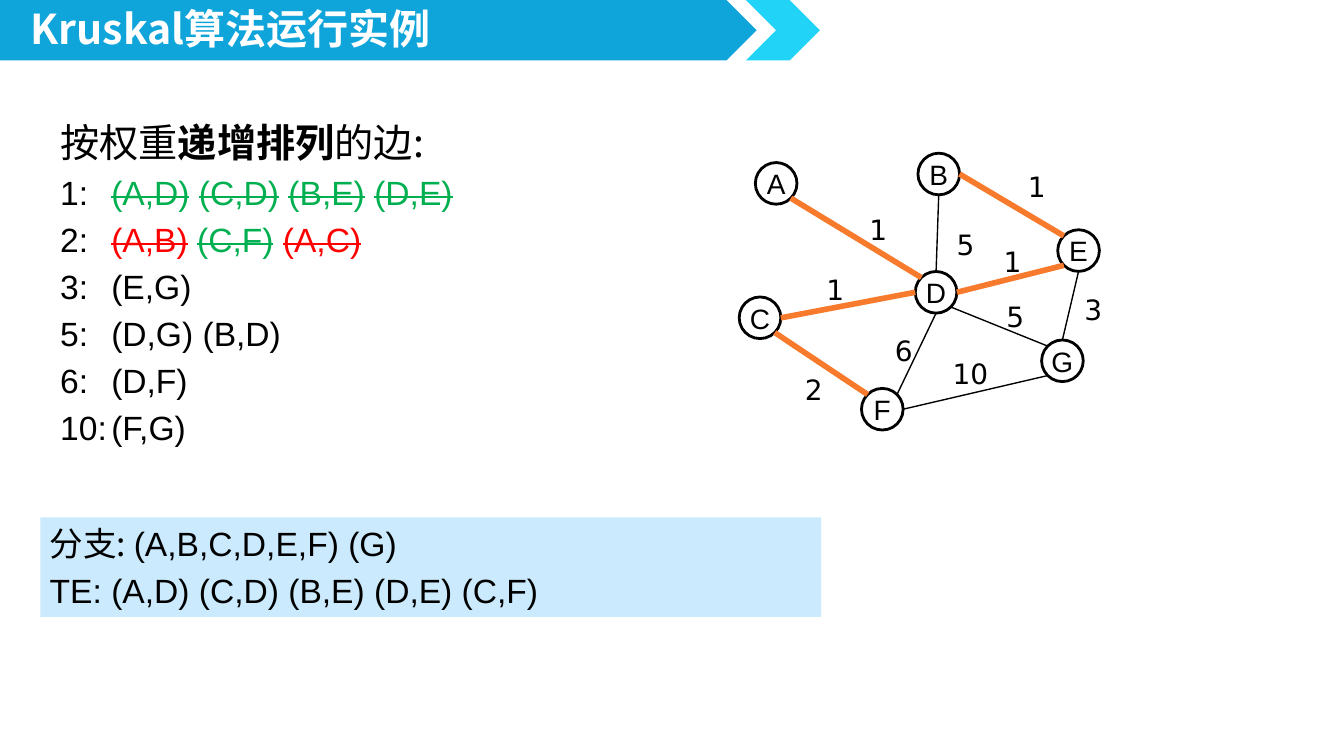
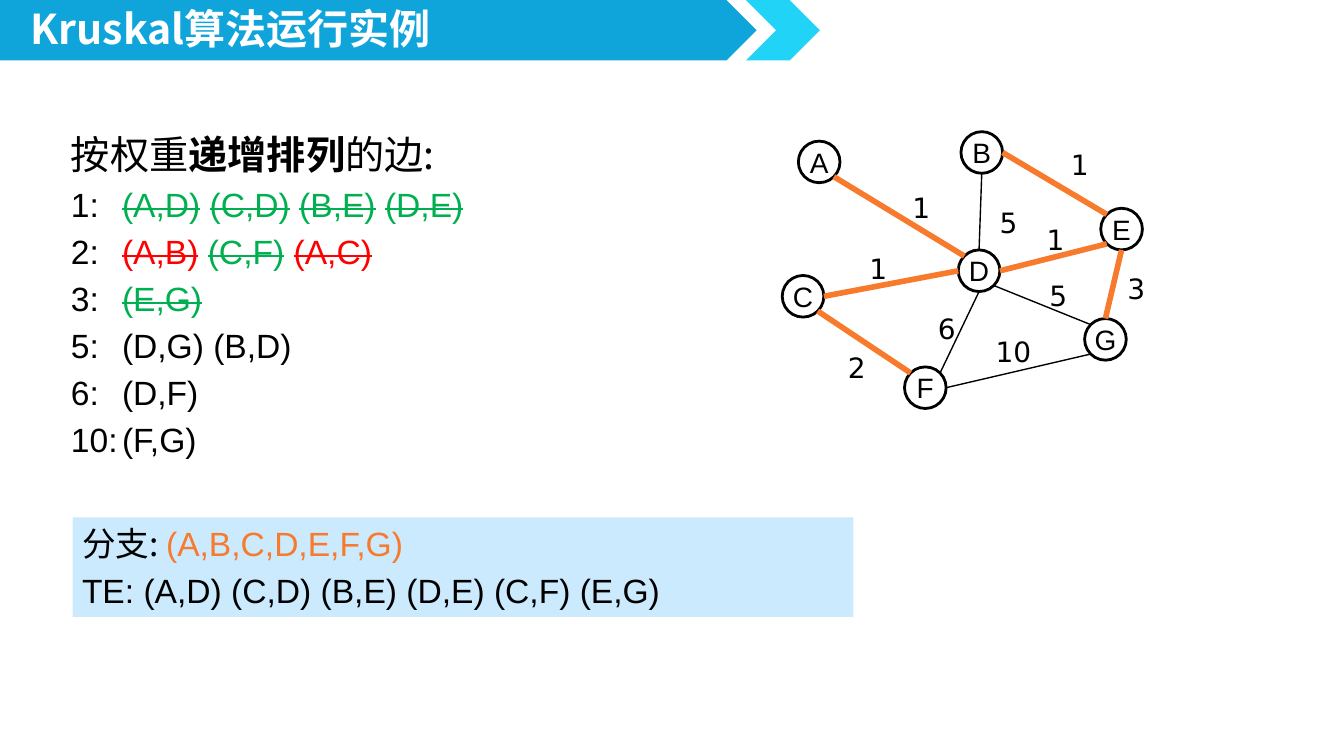
from dataclasses import dataclass
from math import cos, pi, sin
from typing import NamedTuple

from lxml.etree import SubElement
from pptx import Presentation
from pptx.dml.color import RGBColor
from pptx.enum.shapes import MSO_CONNECTOR, MSO_SHAPE
from pptx.enum.text import MSO_ANCHOR as ANCHOR, MSO_AUTO_SIZE as FIT, PP_ALIGN as ALIGN
from pptx.oxml.ns import qn
from pptx.util import Inches, Pt

BLACK, WHITE = "000000", "FFFFFF"
BAND, ACCENT, PANEL = "10A5DA", "21D3F7", "CBEAFD"
ORANGE, GREEN, RED = "F77A2D", "00B050", "FF0000"
LATIN, CJK, LABEL = "Arial", "Noto Sans CJK SC", "DejaVu Sans"
SLIDE_WIDTH = 10
NODE_SIZE = 0.31
SPACE_BEFORE = 3.6


class Run(NamedTuple):
    text: str
    color: str = BLACK
    font: str = LATIN
    size: float = 18
    bold: bool = False
    strike: bool = False


class Node(NamedTuple):
    left: float
    top: float


class Edge(NamedTuple):
    """Sites count eighths of a turn, anticlockwise from the top of a node."""
    name: str
    sites: tuple[int, int]
    weight: int
    label_left: float
    label_top: float


@dataclass
class Step:
    body: tuple[float, float, float, float]
    panel_left: float
    graph_offset: tuple[float, float]
    accepted: list[str]
    rejected: list[str]
    components: list[str]


NODES = {
    "A": Node(5.62, 1.21), "B": Node(6.83, 1.14), "C": Node(5.5, 2.21),
    "D": Node(6.81, 2.02), "F": Node(6.41, 2.89), "E": Node(7.87, 1.71),
    "G": Node(7.75, 2.53),
}
EDGES = [
    Edge("BD", (4, 0), 5, 7.02, 1.64),
    Edge("AD", (5, 1), 1, 6.37, 1.53),
    Edge("CD", (6, 2), 1, 6.05, 1.98),
    Edge("DE", (6, 3), 1, 7.37, 1.77),
    Edge("BE", (6, 1), 1, 7.55, 1.21),
    Edge("CF", (5, 1), 2, 5.89, 2.72),
    Edge("DF", (4, 7), 6, 6.56, 2.43),
    Edge("DG", (5, 1), 5, 7.39, 2.18),
    Edge("EG", (4, 0), 3, 7.97, 2.13),
    Edge("FG", (6, 3), 10, 6.99, 2.6),
]
SORTED_EDGES = {
    1: ["AD", "CD", "BE", "DE"],
    2: ["AB", "CF", "AC"],
    3: ["EG"],
    5: ["DG", "BD"],
    6: ["DF"],
    10: ["FG"],
}
STEPS = [
    Step((0.35, 0.83, 9, 2.85), 0.3, (0, 0),
         ["AD", "CD", "BE", "DE", "CF"], ["AB", "AC"], ["ABCDEF", "G"]),
    Step((0.43, 0.92, 9, 2.76), 0.54, (0.32, -0.16),
         ["AD", "CD", "BE", "DE", "CF", "EG"], ["AB", "AC"], ["ABCDEFG"]),
]


def rgb(color: str) -> RGBColor:
    return RGBColor.from_string(color)


def tuple_text(names: str) -> str:
    return f"({','.join(names)})"


def write(sp, paragraphs: list[list[Run]], *, hanging=0.0, space_before=0.0,
          line_spacing=None, align=ALIGN.LEFT, anchor=ANCHOR.TOP, wrap=True,
          fit=FIT.NONE, margins=(0.1, 0.05)):
    tf = sp.text_frame
    tf.word_wrap, tf.auto_size, tf.vertical_anchor = wrap, fit, anchor
    tf.margin_left = tf.margin_right = Inches(margins[0])
    tf.margin_top = tf.margin_bottom = Inches(margins[1])
    for i, runs in enumerate(paragraphs):
        p = tf.add_paragraph() if i else tf.paragraphs[0]
        p.alignment = align
        if hanging:
            pPr = p._p.get_or_add_pPr()
            pPr.set("marL", str(Inches(hanging)))
            pPr.set("indent", str(-Inches(hanging)))
        if line_spacing:
            p.line_spacing = line_spacing
        if i and space_before:
            p.space_before = Pt(space_before)
        for run in runs:
            r = p.add_run()
            r.text = run.text
            r.font.size, r.font.bold = Pt(run.size), run.bold
            r.font.color.rgb = rgb(run.color)
            r.font.name = run.font
            rPr = r.font._element
            SubElement(rPr, qn("a:ea")).set("typeface", run.font)
            if run.strike:
                rPr.set("strike", "sngStrike")


def add_text(s, left, top, width, height, paragraphs, **fmt):
    sp = s.shapes.add_textbox(*map(Inches, (left, top, width, height)))
    write(sp, paragraphs, **fmt)


def add_shape(s, kind, left, top, width, height, fill=None, line=None):
    sp = s.shapes.add_shape(kind, *map(Inches, (left, top, width, height)))
    sp.shadow.inherit = False
    if fill:
        sp.fill.solid()
        sp.fill.fore_color.rgb = rgb(fill)
    else:
        sp.fill.background()
    if line:
        sp.line.color.rgb = rgb(line)
        sp.line.width = Pt(1.5)
    else:
        sp.line.fill.background()
    return sp


def add_header(s):
    add_shape(s, MSO_SHAPE.PENTAGON, 0, 0, 5.63, 0.45, BAND)
    add_shape(s, MSO_SHAPE.CHEVRON, 5.55, 0, 0.55, 0.45, ACCENT)
    add_text(s, 0.13, 0.05, 3.31, 0.4,
             [[Run("Kruskal算法运行实例", WHITE, CJK, 22, bold=True)]],
             line_spacing=0.8, wrap=False, fit=FIT.SHAPE_TO_FIT_TEXT)


def edge_run(name: str, step: Step) -> Run:
    if name in step.accepted:
        return Run(tuple_text(name), GREEN, strike=True)
    if name in step.rejected:
        return Run(tuple_text(name), RED, strike=True)
    return Run(tuple_text(name))


def add_edge_list(s, step: Step):
    paragraphs = [[Run("按权重", font=CJK, size=21),
                   Run("递增排列", font=CJK, size=21, bold=True),
                   Run("的边:", font=CJK, size=21)]]
    for weight, names in SORTED_EDGES.items():
        runs = [Run(f"{weight}:\t")]
        for i, name in enumerate(names):
            if i:
                runs.append(Run(" "))
            runs.append(edge_run(name, step))
        paragraphs.append(runs)
    add_text(s, *step.body, paragraphs, hanging=0.38, space_before=SPACE_BEFORE)


def add_result_panel(s, step: Step):
    components = " ".join(map(tuple_text, step.components))
    color = ORANGE if len(step.components) == 1 else BLACK
    tree = " ".join(map(tuple_text, step.accepted))
    sp = add_shape(s, MSO_SHAPE.RECTANGLE, step.panel_left, 3.85, 5.81, 0.74, PANEL)
    write(sp, [[Run("分支: ", font=CJK), Run(components, color)],
               [Run(f"TE: {tree}")]],
          hanging=0.28, space_before=SPACE_BEFORE, margins=(0.07, 0.04),
          fit=FIT.SHAPE_TO_FIT_TEXT)


def site_point(name: str, site: int, offset: tuple[float, float]) -> tuple[float, float]:
    node, radius, angle = NODES[name], NODE_SIZE / 2, site * pi / 4
    return (node.left + offset[0] + radius * (1 - sin(angle)),
            node.top + offset[1] + radius * (1 - cos(angle)))


def add_edge(s, edge: Edge, step: Step):
    ends = [site_point(name, site, step.graph_offset)
            for name, site in zip(edge.name, edge.sites)]
    in_tree = edge.name in step.accepted
    line = s.shapes.add_connector(MSO_CONNECTOR.STRAIGHT,
                                  *(Inches(v) for end in ends for v in end))
    line.line.color.rgb = rgb(ORANGE if in_tree else BLACK)
    line.line.width = Pt(3 if in_tree else 0.75)
    SubElement(line._element.spPr, qn("a:effectLst"))
    dx, dy = step.graph_offset
    add_text(s, edge.label_left + dx, edge.label_top + dy,
             0.34 if edge.weight < 10 else 0.47, 0.35,
             [[Run(str(edge.weight), font=LABEL, size=15)]],
             wrap=False, fit=FIT.SHAPE_TO_FIT_TEXT)


def add_graph(s, step: Step):
    dx, dy = step.graph_offset
    for name, node in NODES.items():
        sp = add_shape(s, MSO_SHAPE.OVAL, node.left + dx, node.top + dy,
                       NODE_SIZE, NODE_SIZE, line=BLACK)
        write(sp, [[Run(name, size=15)]], align=ALIGN.CENTER,
              anchor=ANCHOR.MIDDLE, wrap=False)
    for edge in EDGES:
        add_edge(s, edge, step)


def main():
    prs = Presentation()
    prs.slide_width = Inches(SLIDE_WIDTH)
    prs.slide_height = Inches(SLIDE_WIDTH * 9 / 16)
    for step in STEPS:
        s = prs.slides.add_slide(prs.slide_layouts[6])
        add_header(s)
        add_edge_list(s, step)
        add_result_panel(s, step)
        add_graph(s, step)
    prs.save("out.pptx")


if __name__ == "__main__":
    main()
